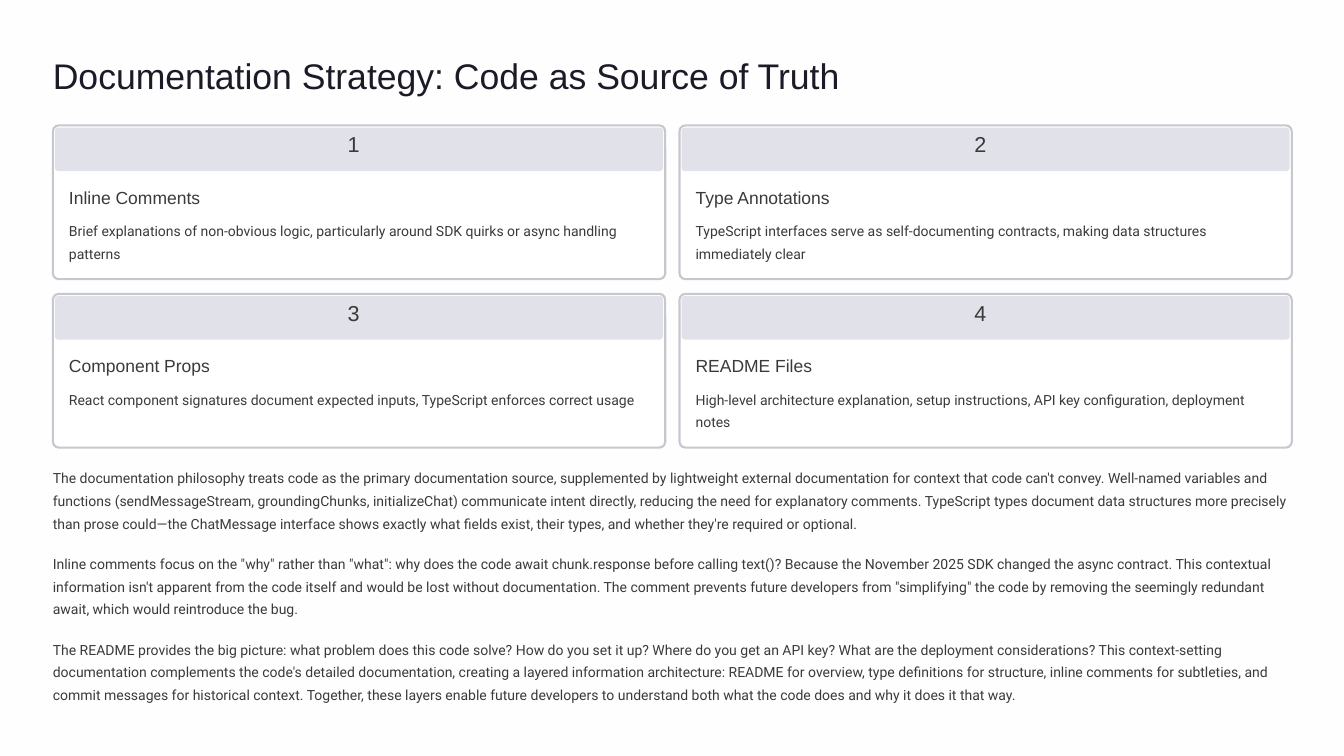
from pptx import Presentation
from pptx.dml.color import RGBColor
from pptx.enum.shapes import MSO_SHAPE as Shape
from pptx.util import Pt

INK = "3C3939"
LEFT, TOP = 45.3, 107.5
CARD_W, CARD_H = 524.9, 131.8
COLUMN_STEP, ROW_STEP = 537.1, 144.4

prs = Presentation()
prs.slide_width, prs.slide_height = Pt(1152), Pt(648)
slide = prs.slides.add_slide(prs.slide_layouts[6])


def paint(fill, color):
    fill.solid()
    fill.fore_color.rgb = RGBColor.from_string(color)


def add_text(text, x, y, w, h, size, spacing, font="Arial", color=INK, wrap=False):
    frame = slide.shapes.add_textbox(Pt(x), Pt(y), Pt(w), Pt(h)).text_frame
    frame.margin_left = frame.margin_right = frame.margin_top = frame.margin_bottom = 0
    frame.word_wrap = wrap
    line = frame.paragraphs[0]
    line.text = text
    line.line_spacing = Pt(spacing)
    line.font.size, line.font.name = Pt(size), font
    line.font.color.rgb = RGBColor.from_string(color)


paint(slide.background.fill, "FEFEFE")
add_text("Documentation Strategy: Code as Source of Truth",
         LEFT, 44, 736.6, 39, 30.5, 38.5, color="1B1B27")

practices = [
    ("Inline Comments",
     "Brief explanations of non-obvious logic, particularly around SDK quirks or async handling patterns"),
    ("Type Annotations",
     "TypeScript interfaces serve as self-documenting contracts, making data structures immediately clear"),
    ("Component Props",
     "React component signatures document expected inputs, TypeScript enforces correct usage"),
    ("README Files",
     "High-level architecture explanation, setup instructions, API key configuration, deployment notes"),
]
for index, (practice, summary) in enumerate(practices):
    row, column = divmod(index, 2)
    x, y = LEFT + column * COLUMN_STEP, TOP + row * ROW_STEP

    card = slide.shapes.add_shape(Shape.ROUNDED_RECTANGLE, Pt(x), Pt(y), Pt(CARD_W), Pt(CARD_H))
    card.adjustments[0] = 0.039
    card.shadow.inherit = False
    paint(card.fill, "FFFFFF")
    paint(card.line.fill, "C7C7D0")
    card.line.width = Pt(1.8)

    band = slide.shapes.add_shape(Shape.ROUNDED_RECTANGLE,
                                  Pt(x + 1.8), Pt(y + 1.8), Pt(CARD_W - 3.6), Pt(37.4))
    band.adjustments[0] = 0.082
    band.shadow.inherit = False
    paint(band.fill, "E1E1EA")
    band.line.fill.background()

    add_text(str(index + 1), x + 252.8, y + 8.7, 18.7, 23, 18.5, 18.5)
    add_text(practice, x + 13.8, y + 51.4, 154.8, 19.4, 15, 19)
    add_text(summary, x + 13.8, y + 78.2, 496.1, 39.6, 12, 19.5, "Roboto", wrap=True)

explanations = [
    "The documentation philosophy treats code as the primary documentation source, supplemented by "
    "lightweight external documentation for context that code can't convey. Well-named variables and "
    "functions (sendMessageStream, groundingChunks, initializeChat) communicate intent directly, "
    "reducing the need for explanatory comments. TypeScript types document data structures more "
    "precisely than prose could—the ChatMessage interface shows exactly what fields exist, their "
    "types, and whether they're required or optional.",
    'Inline comments focus on the "why" rather than "what": why does the code await chunk.response '
    "before calling text()? Because the November 2025 SDK changed the async contract. This contextual "
    "information isn't apparent from the code itself and would be lost without documentation. The "
    'comment prevents future developers from "simplifying" the code by removing the seemingly '
    "redundant await, which would reintroduce the bug.",
    "The README provides the big picture: what problem does this code solve? How do you set it up? "
    "Where do you get an API key? What are the deployment considerations? This context-setting "
    "documentation complements the code's detailed documentation, creating a layered information "
    "architecture: README for overview, type definitions for structure, inline comments for "
    "subtleties, and commit messages for historical context. Together, these layers enable future "
    "developers to understand both what the code does and why it does it that way.",
]
for index, explanation in enumerate(explanations):
    add_text(explanation, LEFT, 397.4 + index * 73.5, 1062, 59.8, 12, 19.5, "Roboto", wrap=True)

prs.save("out.pptx")
